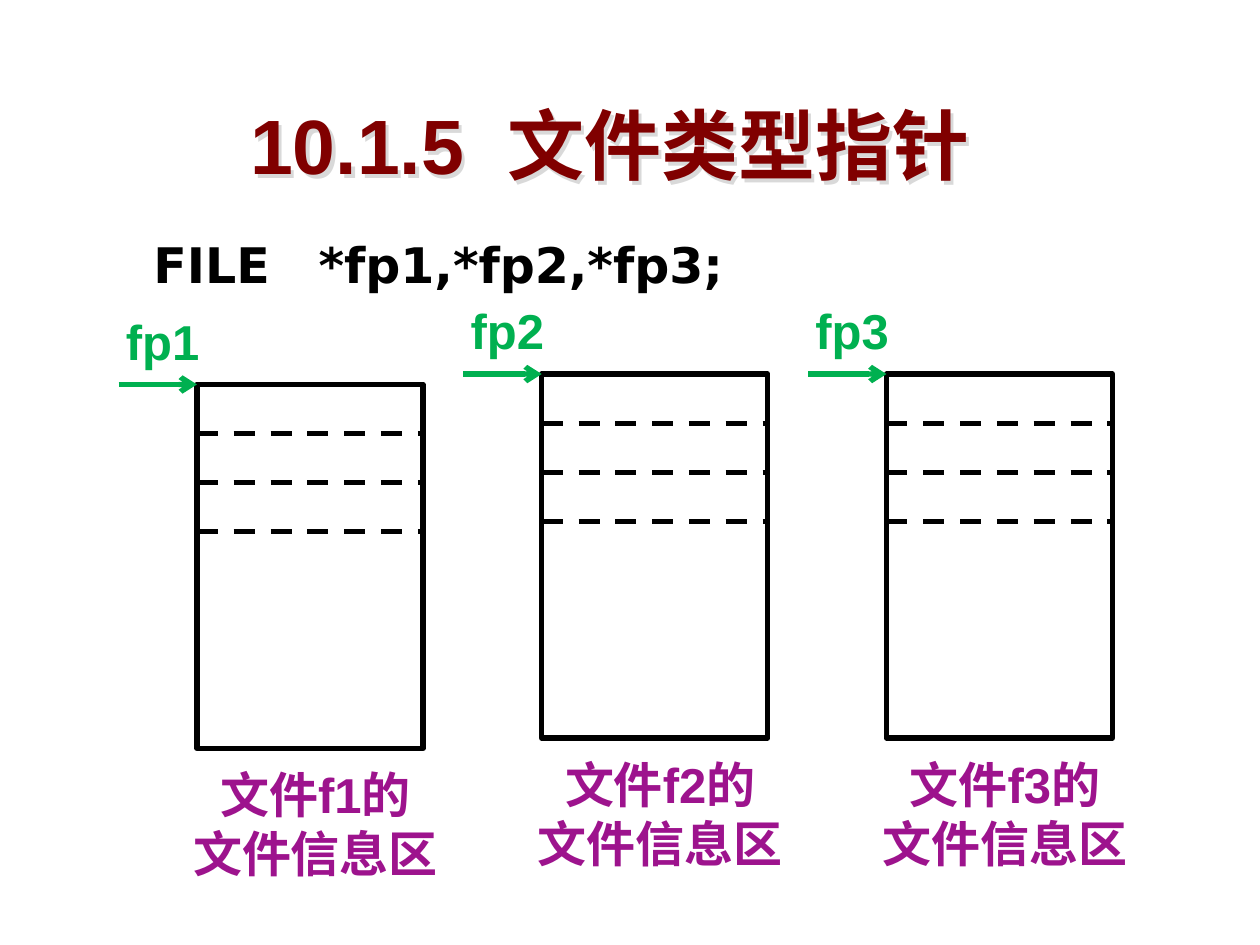
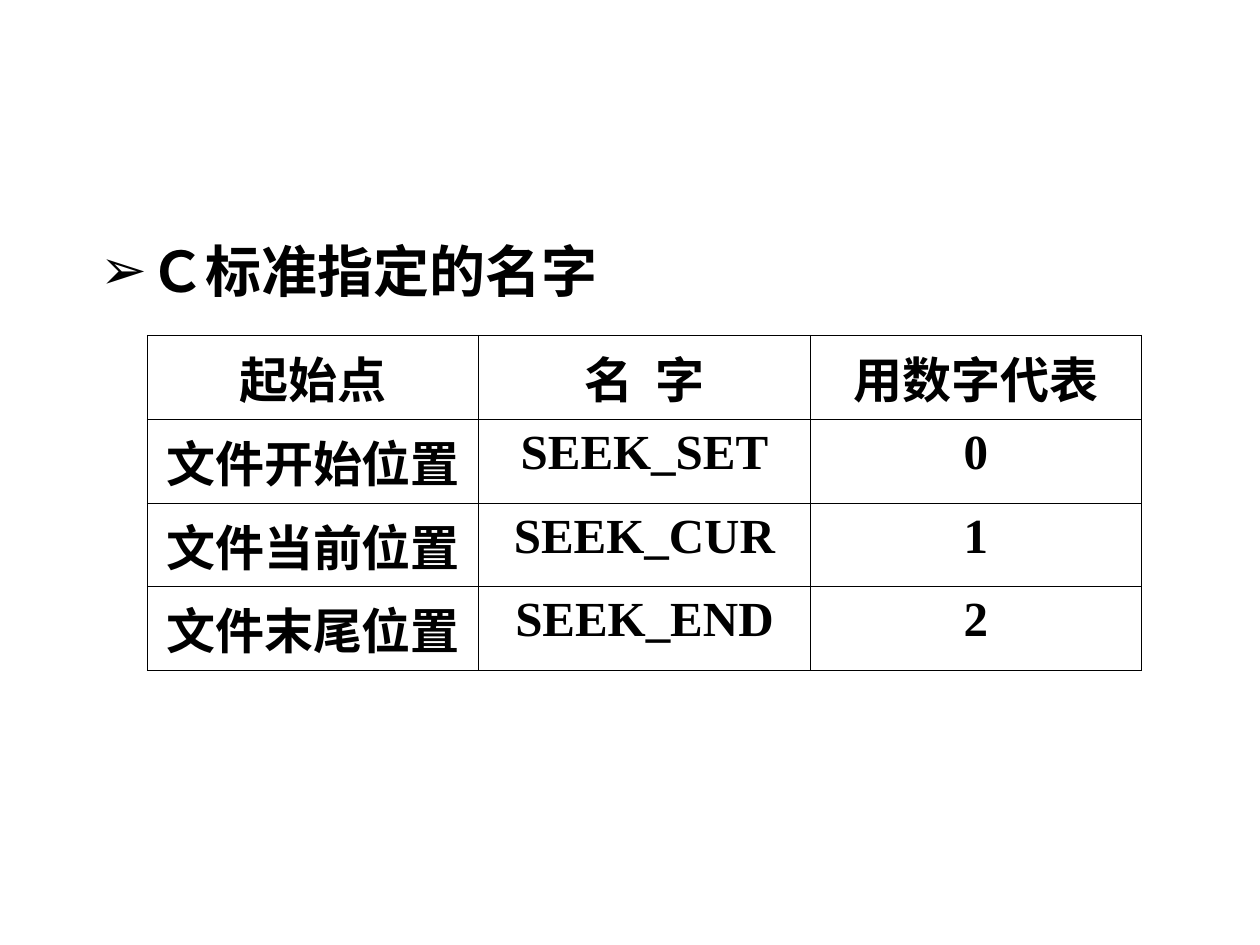
from lxml import etree
from pptx import Presentation
from pptx.dml.color import RGBColor
from pptx.enum.dml import MSO_LINE
from pptx.enum.shapes import MSO_CONNECTOR, MSO_SHAPE
from pptx.enum.text import MSO_ANCHOR, MSO_AUTO_SIZE, PP_ALIGN
from pptx.oxml.ns import qn
from pptx.util import Cm, Pt

TITLE = "10.1.5  文件类型指针"
DECLARATION = "FILE　*fp1,*fp2,*fp3;"
FILES = [
    ("fp1", "文件f1的", 7.75),
    ("fp2", "文件f2的", 7.54),
    ("fp3", "文件f3的", 7.54),
]
INFO_AREA = "文件信息区"
SEEK_HEADING = "Ｃ标准指定的名字"
SEEK_ROWS = [
    ("起始点", "名  字", "用数字代表"),
    ("文件开始位置", "SEEK_SET", "0"),
    ("文件当前位置", "SEEK_CUR", "1"),
    ("文件末尾位置", "SEEK_END", "2"),
]

BLACK = RGBColor(0x00, 0x00, 0x00)
MAROON = RGBColor(0x80, 0x00, 0x00)
GREEN = RGBColor(0x00, 0xB0, 0x50)
PURPLE = RGBColor(0x9D, 0x13, 0x8D)
SHADOW_GREY = RGBColor(0xD9, 0xD9, 0xD9)

SANS, CODE, SERIF = "Arial", "DejaVu Sans", "Times New Roman"
CENTER, LEFT = PP_ALIGN.CENTER, PP_ALIGN.LEFT
MIDDLE, TOP = MSO_ANCHOR.MIDDLE, MSO_ANCHOR.TOP
NO_AUTOFIT = MSO_AUTO_SIZE.NONE
STRAIGHT = MSO_CONNECTOR.STRAIGHT
RECTANGLE = MSO_SHAPE.RECTANGLE
DASH = MSO_LINE.DASH

FIRST_BOX_LEFT, BOX_STEP = 3.97, 6.95
BOX_WIDTH, BOX_HEIGHT = 4.56, 7.34
FIELD_HEIGHT, FIELD_LINES = 0.99, 3
ARROW_LENGTH = 1.58
COLUMN_WIDTH, ROW_HEIGHT = 6.68, 1.69


def add_xml(parent, tag, **attributes):
    return etree.SubElement(parent, qn(tag), **attributes)


def style(paragraph, size, font, color, align=CENTER):
    paragraph.alignment = align
    paragraph.font.size = Pt(size)
    paragraph.font.name = font
    paragraph.font.bold = True
    paragraph.font.color.rgb = color


def place(part, left, top, width, height):
    part.left, part.top = Cm(left), Cm(top)
    part.width, part.height = Cm(width), Cm(height)


def write_title(slide):
    title = slide.shapes.title
    place(title, 0.79, 1.83, 23.01, 2.13)
    frame = title.text_frame
    frame.text = TITLE
    frame.auto_size = NO_AUTOFIT
    frame.vertical_anchor = MIDDLE
    style(frame.paragraphs[0], 44, SANS, MAROON)
    effects = add_xml(title.element.spPr, "a:effectLst")
    shadow = add_xml(effects, "a:outerShdw", dist="38100", dir="2700000")
    add_xml(shadow, "a:srgbClr", val=str(SHADOW_GREY))


def write_body(slide, text, left, height, size, space_before, margin, indent, bullet=None):
    body = slide.placeholders[1]
    place(body, left, 4.37, 22.63, height)
    frame = body.text_frame
    frame.text = text
    frame.auto_size = NO_AUTOFIT
    frame.vertical_anchor = TOP
    paragraph = frame.paragraphs[0]
    paragraph.level = 0 if bullet else 1
    paragraph.line_spacing = 1.2
    paragraph.space_before = Pt(space_before)
    properties = paragraph._p.get_or_add_pPr()
    properties.set("marL", str(Cm(margin)))
    properties.set("indent", str(Cm(indent)))
    if bullet:
        add_xml(add_xml(properties, "a:buClr"), "a:srgbClr", val=str(BLACK))
        add_xml(properties, "a:buChar", char=bullet)
    else:
        add_xml(properties, "a:buNone")
    style(paragraph, size, CODE, BLACK, LEFT)


def add_label(slide, lines, left, top, width, height, color):
    label = slide.shapes.add_textbox(Cm(left), Cm(top), Cm(width), Cm(height))
    frame = label.text_frame
    frame.word_wrap = True
    frame.text = "\n".join(lines)
    for paragraph in frame.paragraphs:
        style(paragraph, 28, SANS, color)


def add_line(shapes, left, right, y, color):
    line = shapes.add_connector(STRAIGHT, Cm(left), Cm(y), Cm(right), Cm(y))
    line.line.color.rgb = color
    line.line.width = Pt(3)
    add_xml(line._element.spPr, "a:effectLst")
    return line


def add_file(slide, pointer, owner, left, top):
    add_label(slide, [owner, INFO_AREA], left - 0.39, top + 7.54, 5.56, 2.64, PURPLE)
    structure = slide.shapes.add_group_shape().shapes
    box = structure.add_shape(RECTANGLE, Cm(left), Cm(top), Cm(BOX_WIDTH), Cm(BOX_HEIGHT))
    box.shadow.inherit = False
    box.fill.background()
    box.line.color.rgb = BLACK
    box.line.width = Pt(3)
    for field in range(1, FIELD_LINES + 1):
        y = top + field * FIELD_HEIGHT
        add_line(structure, left, left + BOX_WIDTH, y, BLACK).line.dash_style = DASH
    add_label(slide, [pointer], left - 1.78, top - 1.6, 2.18, 1.45, GREEN)
    arrow = add_line(slide.shapes, left - ARROW_LENGTH, left, top, GREEN)
    add_xml(arrow.line._get_or_add_ln(), "a:tailEnd", type="arrow")


def add_borders(cell):
    properties = cell._tc.get_or_add_tcPr()
    for position, side in enumerate(("a:lnL", "a:lnR", "a:lnT", "a:lnB")):
        border = etree.Element(qn(side), w=str(Pt(0.45)))
        add_xml(add_xml(border, "a:solidFill"), "a:srgbClr", val=str(BLACK))
        properties.insert(position, border)


def add_seek_table(slide):
    rows, columns = len(SEEK_ROWS), len(SEEK_ROWS[0])
    table = slide.shapes.add_table(
        rows, columns, Cm(2.97), Cm(6.76),
        Cm(columns * COLUMN_WIDTH), Cm(rows * ROW_HEIGHT),
    ).table
    table.first_row = table.horz_banding = False
    for row, texts in enumerate(SEEK_ROWS):
        for column, text in enumerate(texts):
            cell = table.cell(row, column)
            cell.text = text
            cell.fill.background()
            cell.margin_left = cell.margin_right = Cm(0.2)
            cell.margin_top = cell.margin_bottom = Cm(0.13)
            style(cell.text_frame.paragraphs[0], 28, SERIF, BLACK)
            add_borders(cell)


def main():
    deck = Presentation()
    deck.slide_width, deck.slide_height = Cm(25.4), Cm(19.05)
    layout = deck.slide_layouts[1]

    pointers = deck.slides.add_slide(layout)
    write_title(pointers)
    write_body(pointers, DECLARATION, 1.57, 2.39, 28, 7, 2.06, -0.79)
    for index, (pointer, owner, top) in enumerate(FILES):
        add_file(pointers, pointer, owner, FIRST_BOX_LEFT + index * BOX_STEP, top)

    seek = deck.slides.add_slide(layout)
    unused_title = seek.shapes.title.element
    unused_title.getparent().remove(unused_title)
    write_body(seek, SEEK_HEADING, 1.78, 2.18, 32, 8, 0.97, -0.97, "➢")
    add_seek_table(seek)

    deck.save("out.pptx")


if __name__ == "__main__":
    main()
